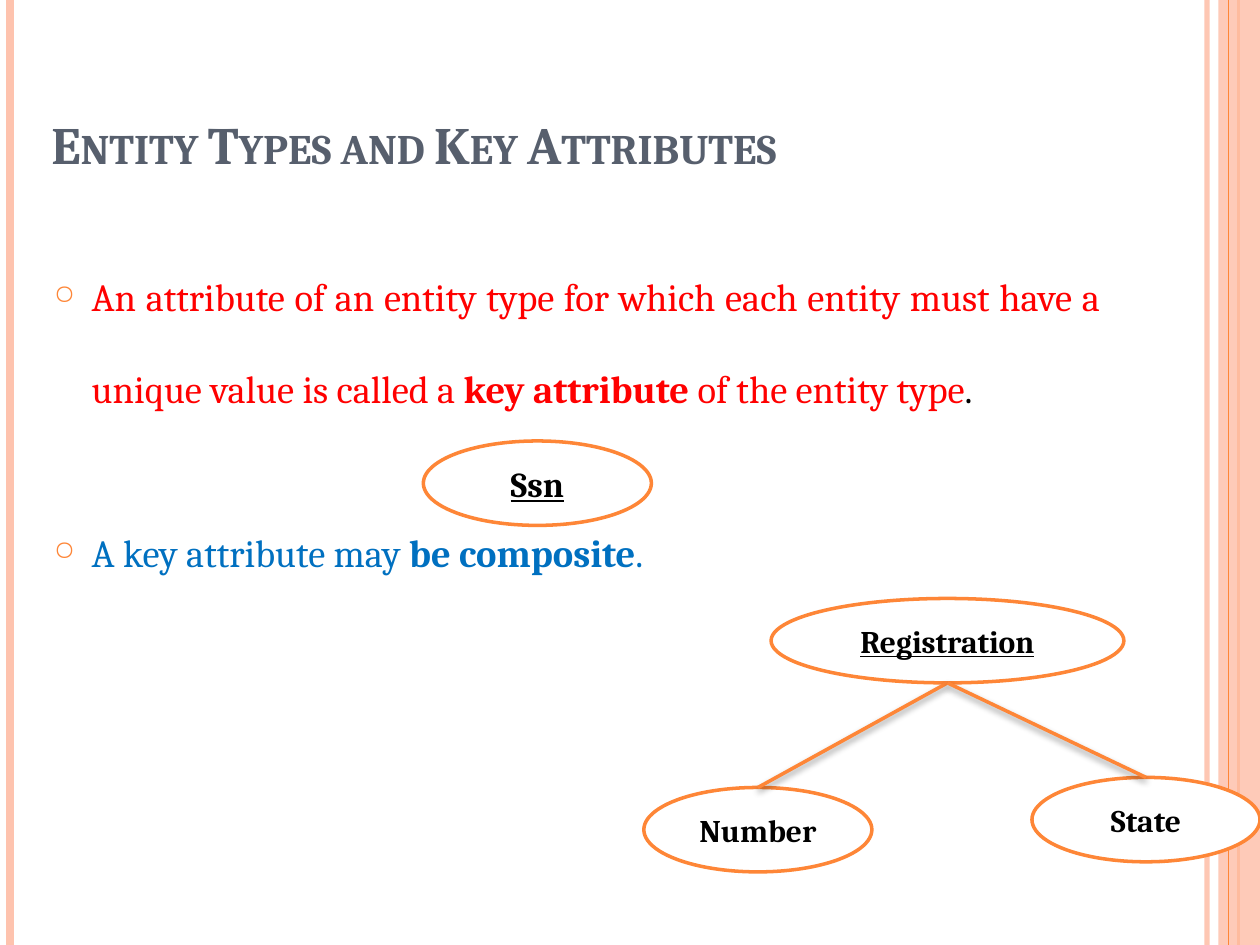
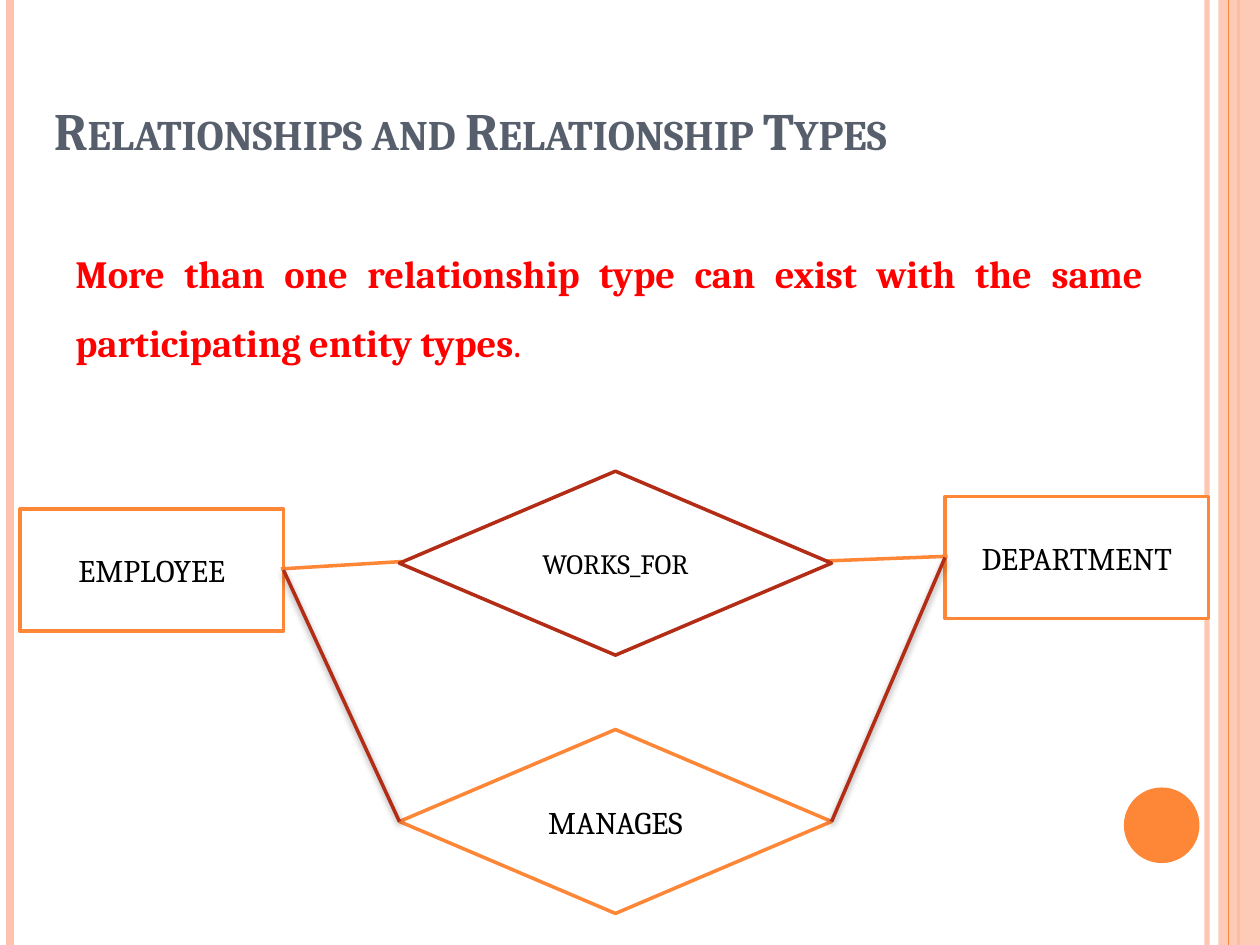
from lxml.etree import SubElement
from pptx import Presentation
from pptx.dml.color import RGBColor
from pptx.enum.shapes import MSO_CONNECTOR, MSO_SHAPE
from pptx.enum.text import MSO_ANCHOR, PP_ALIGN
from pptx.oxml.ns import qn
from pptx.util import Pt

PX = 9144
WIDTH, HEIGHT = 1000, 750
FONT = "Cambria"
ORANGE, PEACH, BRICK = "FE8637", "FEC3AE", "B32C16"
SLATE, RED, BLUE = "575F6D", "FF0000", "0070C0"
BLACK, WHITE = "000000", "FFFFFF"
TOP, BOTTOM, LEFT, RIGHT = (0.5, 0), (0.5, 1), (0, 0.5), (1, 0.5)


def rgb(color):
    return RGBColor.from_string(color)


def set_alpha(parent, percent):
    color = next(parent.iter(qn("a:srgbClr")))
    SubElement(color, qn("a:alpha"), val=str(percent * 1000))


def edge(sp, side):
    return int(sp.left + sp.width * side[0]), int(sp.top + sp.height * side[1])


class Deck:
    def __init__(self):
        self.prs = Presentation()
        self.prs.slide_width = WIDTH * PX
        self.prs.slide_height = HEIGHT * PX

    def slide(self, title, box):
        self.s = self.prs.slides.add_slide(self.prs.slide_layouts[6])
        self.rule(958, PEACH, 3, 93)
        self.rule(8, PEACH, 4.5)
        self.rule(983, ORANGE, 1.5)
        band = self.shape(MSO_SHAPE.RECTANGLE, (967, 0, 33, HEIGHT), fill=PEACH, line=None)
        set_alpha(band.fill._xPr, 87)
        self.rule(975, ORANGE, 0.75)
        self.shape(MSO_SHAPE.OVAL, (892, 625, 60, 60), fill=ORANGE, line=None)
        tf = self.text_box(box, MSO_ANCHOR.BOTTOM)
        tf.text = title
        r = tf.paragraphs[0].runs[0]
        self.style(r, 30, SLATE, bold=True)
        r._r.get_or_add_rPr().set("cap", "small")

    def style(self, r, size, color, bold=False, underline=False):
        f = r.font
        f.name, f.size, f.bold, f.underline = FONT, Pt(size), bold, underline
        f.color.rgb = rgb(color)

    def text_box(self, box, anchor=MSO_ANCHOR.TOP):
        tf = self.s.shapes.add_textbox(*(v * PX for v in box)).text_frame
        tf.word_wrap = True
        tf.vertical_anchor = anchor
        return tf

    def body(self, box, paragraphs, spacing, bullet=False):
        tf = self.text_box(box)
        for i, (before, runs) in enumerate(paragraphs):
            p = tf.add_paragraph() if i else tf.paragraphs[0]
            p.alignment = PP_ALIGN.JUSTIFY
            p.line_spacing = spacing
            p.space_before = Pt(before)
            if bullet:
                self.bullet(p)
            for text, color, bold in runs:
                r = p.add_run()
                r.text = text
                self.style(r, 22, color, bold)

    def bullet(self, p):
        pPr = p._p.get_or_add_pPr()
        pPr.set("marL", str(30 * PX))
        pPr.set("indent", str(-30 * PX))
        SubElement(SubElement(pPr, qn("a:buClr")), qn("a:srgbClr"), val=ORANGE)
        SubElement(pPr, qn("a:buSzPct"), val="70000")
        SubElement(pPr, qn("a:buChar"), char="○")

    def shape(self, kind, box, text="", size=18, bold=False, underline=False,
              fill=WHITE, line=ORANGE, adjust=()):
        sp = self.s.shapes.add_shape(kind, *(v * PX for v in box))
        sp.shadow.inherit = False
        sp.fill.solid()
        sp.fill.fore_color.rgb = rgb(fill)
        if line:
            sp.line.color.rgb = rgb(line)
            sp.line.width = Pt(2)
        else:
            sp.line.fill.background()
        for i, value in enumerate(adjust):
            sp.adjustments[i] = value
        if text:
            tf = sp.text_frame
            tf.text = text
            tf.vertical_anchor = MSO_ANCHOR.MIDDLE
            p = tf.paragraphs[0]
            p.alignment = PP_ALIGN.CENTER
            self.style(p.runs[0], size, BLACK, bold, underline)
        return sp

    def line(self, start, end, color, width):
        cn = self.s.shapes.add_connector(MSO_CONNECTOR.STRAIGHT, *start, *end)
        cn.line.color.rgb = rgb(color)
        cn.line.width = Pt(width)
        return cn, SubElement(cn._element.spPr, qn("a:effectLst"))

    def rule(self, x, color, width, alpha=None):
        cn, _ = self.line((x * PX, 0), (x * PX, HEIGHT * PX), color, width)
        if alpha:
            set_alpha(cn._element.spPr, alpha)

    def link(self, a, a_side, b, b_side, color=ORANGE):
        _, effects = self.line(edge(a, a_side), edge(b, b_side), color, 2)
        shadow = SubElement(effects, qn("a:outerShdw"), blurRad=str(Pt(4)),
                            dist=str(Pt(2)), dir="5400000", rotWithShape="0")
        SubElement(shadow, qn("a:srgbClr"), val=BLACK)
        set_alpha(shadow, 40)


def key_attributes(deck):
    deck.slide("Entity Types and Key Attributes", (31, 0, 886, 144))
    deck.body((33, 175, 850, 575), [
        (6, [("An attribute of an entity type for which each entity must have a "
              "unique value is called a ", RED, False),
             ("key attribute ", RED, True),
             ("of the entity type", RED, False),
             (".", BLACK, False)]),
        (41, [("A key attribute may ", BLUE, False),
              ("be composite", BLUE, True),
              (".", BLUE, False)]),
    ], spacing=2.0, bullet=True)

    def attribute(text, x, y, width=181, size=18, key=False):
        return deck.shape(MSO_SHAPE.OVAL, (x, y, width, 67), text, size, True, key)

    attribute("Ssn", 336, 350, size=20, key=True)
    registration = attribute("Registration", 612, 475, width=280, key=True)
    parts = [attribute("Number", 511, 625), attribute("State", 819, 617)]
    for part in parts:
        deck.link(registration, BOTTOM, part, TOP)


def relationship_types(deck):
    deck.slide("Relationships and Relationship Types", (33, 8, 892, 125))
    deck.body((50, 175, 867, 533), [
        (6, [("More than one relationship type can exist with the same "
              "participating entity types", RED, True),
             (".", RED, False)]),
    ], spacing=1.5)

    def entity(text, x, y, adjust):
        return deck.shape(MSO_SHAPE.LINE_CALLOUT_1, (x, y, 209, 97), text, adjust=adjust)

    def relationship(text, y, size, line):
        return deck.shape(MSO_SHAPE.FLOWCHART_DECISION, (317, y, 343, 146), text, size, line=line)

    department = entity("DEPARTMENT", 750, 394, (0.49, 0.01, 0.53, -0.47))
    employee = entity("EMPLOYEE", 16, 404, (0.43, 1.45, 0.49, 0.99))
    relationship("WORKS_FOR", 374, 16, BRICK)
    manages = relationship("MANAGES", 579, 18, ORANGE)
    deck.link(manages, RIGHT, department, LEFT, BRICK)
    deck.link(manages, LEFT, employee, RIGHT, BRICK)


def main():
    deck = Deck()
    key_attributes(deck)
    relationship_types(deck)
    deck.prs.save("out.pptx")


if __name__ == "__main__":
    main()
